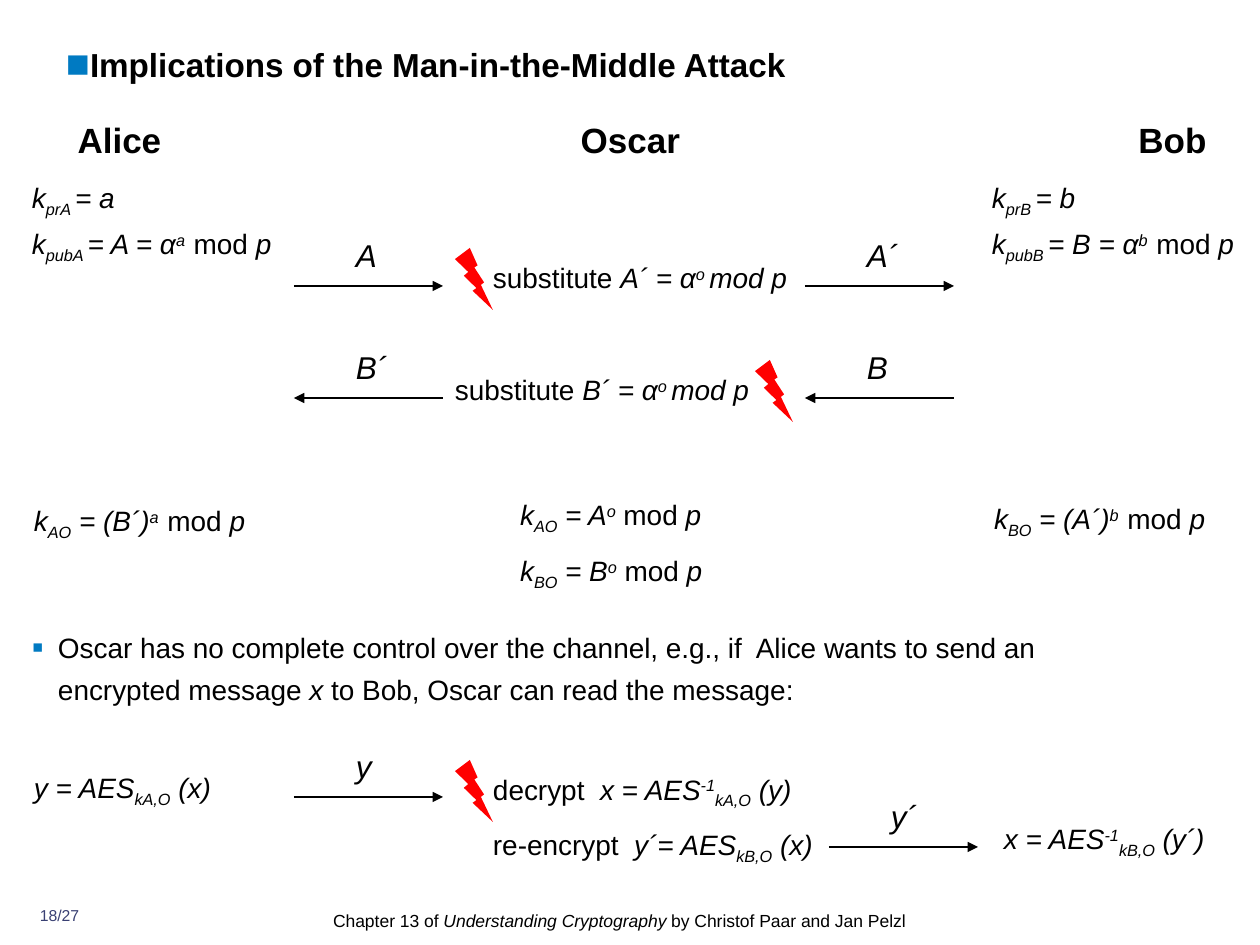
import dataclasses

import lxml.etree
import pptx
import pptx.dml.color
import pptx.enum.shapes
import pptx.enum.text
import pptx.oxml.ns
import pptx.util

EMU_PER_PX = pptx.util.Inches(1) / 126
ALIGN = pptx.enum.text.PP_ALIGN
SHAPE = pptx.enum.shapes.MSO_SHAPE
qn = pptx.oxml.ns.qn


@dataclasses.dataclass(frozen=True)
class Theme:
    font: str = "Arial"
    ink: str = "000000"
    accent: str = "007AC2"
    alarm: str = "FF0000"
    page: str = "394073"
    title: int = 19
    party: int = 20
    label: int = 18
    formula: int = 16
    footer: int = 10
    number: int = 9


THEME = Theme()

# Run styles: font attributes and baseline shift
STYLES = {
    "plain": ({}, 0),
    "bold": ({"bold": True}, 0),
    "it": ({"italic": True}, 0),
    "sub": ({"italic": True}, -25000),
    "sup": ({"italic": True}, 30000),
    "gap": ({"size": pptx.util.Pt(THEME.label)}, 0),
}


def px(length):
    return round(length * EMU_PER_PX)


def rgb(code):
    return pptx.dml.color.RGBColor.from_string(code)


def apply(target, formats):
    for attribute, value in formats.items():
        setattr(target, attribute, value)


def add_xml(parent, tag, **attributes):
    return lxml.etree.SubElement(parent, qn(tag), attributes)


def write(frame, paragraphs, size, color=THEME.ink, **layout):
    """Fill a text frame; each paragraph is a list of (text, style) runs."""
    apply(frame, {
        "margin_left": 0, "margin_top": 0, "margin_right": 0, "margin_bottom": 0,
        "word_wrap": True,
        "auto_size": pptx.enum.text.MSO_AUTO_SIZE.NONE,
        "vertical_anchor": pptx.enum.text.MSO_ANCHOR.TOP,
    })
    for index, runs in enumerate(paragraphs):
        paragraph = frame.add_paragraph() if index else frame.paragraphs[0]
        apply(paragraph, {"alignment": ALIGN.LEFT, **layout})
        for text, style in runs:
            run = paragraph.add_run()
            run.text = text
            formats, baseline = STYLES[style]
            apply(run.font, {"name": THEME.font, "size": pptx.util.Pt(size),
                             "bold": False, **formats})
            run.font.color.rgb = rgb(color)
            if baseline:
                run.font._element.set("baseline", str(baseline))


def add_text(slide, box, paragraphs, size=THEME.formula, color=THEME.ink, **layout):
    textbox = slide.shapes.add_textbox(*map(px, box))
    write(textbox.text_frame, paragraphs, size, color,
          **{"space_before": pptx.util.Pt(10), **layout})


def fill_placeholder(placeholder, box, runs, size, bullet, hang=0, **layout):
    """Move a placeholder and give it one bulleted paragraph."""
    apply(placeholder, dict(zip(("left", "top", "width", "height"), map(px, box))))
    write(placeholder.text_frame, [runs], size, **layout)
    properties = placeholder.text_frame.paragraphs[0]._p.get_or_add_pPr()
    properties.set("marL", str(px(hang)))
    properties.set("indent", str(-px(hang)))
    add_xml(add_xml(properties, "a:buClr"), "a:srgbClr", val=THEME.accent)
    add_xml(properties, "a:buSzPct", val="120000")
    add_xml(properties, "a:buFont", typeface=THEME.font)
    add_xml(properties, "a:buChar", char=bullet)


def add_party(slide, left, name):
    add_text(slide, (left, 123, 175, 38), [[(name, "bold")]], THEME.party,
             alignment=ALIGN.CENTER, line_spacing=0.9)


def add_message(slide, left, y, label, end="a:tailEnd"):
    """Arrow for one transmission, with its message above."""
    arrow = slide.shapes.add_connector(
        pptx.enum.shapes.MSO_CONNECTOR.STRAIGHT,
        px(left), px(y), px(left + 149), px(y))
    arrow.line.color.rgb = rgb(THEME.ink)
    arrow.line.width = pptx.util.Pt(1)
    add_xml(arrow.line._get_or_add_ln(), end, type="triangle")
    add_xml(arrow._element.spPr, "a:effectLst")
    add_text(slide, (left + 62, y - 50, 49, 38), [[(label, "it")]], THEME.label)


def add_bolt(slide, left, top):
    bolt = slide.shapes.add_shape(SHAPE.LIGHTNING_BOLT, px(left), px(top), px(38), px(62))
    bolt.shadow.inherit = False
    bolt.fill.solid()
    bolt.fill.fore_color.rgb = rgb(THEME.alarm)
    bolt.line.fill.background()


def add_key_pair(slide, left, party, secret):
    private = [("k", "it"), (f"pr{party} ", "sub"), (f"= {secret}", "it")]
    public = [("k", "it"), (f"pub{party} ", "sub"), (f"= {party} = α", "it"),
              (secret, "sup"), (" ", "gap"), ("mod ", "plain"), ("p", "it")]
    add_text(slide, (left, 181, 262, 34), [private])
    add_text(slide, (left, 223, 262, 42), [public])


def add_session_key(slide, left, top, key, base, secret):
    add_text(slide, (left, top, 446, 42), [[
        ("k", "it"), (key, "sub"), (f" = ({base})", "it"), (secret, "sup"),
        (" ", "gap"), ("mod ", "plain"), ("p", "it")]])


def oscar_key(key, base):
    return [("k", "it"), (key, "sub"), (f" = {base}", "it"), ("o", "sup"),
            (" mod ", "plain"), ("p", "it")]


def add_substitution(slide, left, top, value):
    add_text(slide, (left, top, 311, 34), [[
        ("substitute ", "plain"), (f"{value} = α", "it"), ("o ", "sup"), ("mod p", "it")]])


def encryption(result, key):
    return [(f"{result}= AES", "it"), (key, "sub"), (" (x)", "it")]


def decryption(key, cipher):
    return [("x = AES", "it"), ("-1", "sup"), (key, "sub"), (f" ({cipher})", "it")]


def main():
    deck = pptx.Presentation()
    deck.slide_width, deck.slide_height = px(1260), px(945)
    slide = deck.slides.add_slide(deck.slide_layouts[1])
    title, remark = slide.placeholders

    # Title and parties
    fill_placeholder(title, (66, 44, 1137, 83),
                     [("Implications of the Man-in-the-Middle Attack", "bold")],
                     THEME.title, "■", space_before=pptx.util.Pt(4.8))
    for left, name in ((32, "Alice"), (543, "Oscar"), (1085, "Bob")):
        add_party(slide, left, name)

    # Key pairs and intercepted exchange
    add_key_pair(slide, 32, "A", "a")
    add_key_pair(slide, 992, "B", "b")
    add_message(slide, 294, 286, "A")
    add_message(slide, 805, 286, "A´")
    add_message(slide, 294, 398, "B´", "a:headEnd")
    add_message(slide, 805, 398, "B", "a:headEnd")
    add_substitution(slide, 493, 261, "A´")
    add_substitution(slide, 455, 373, "B´")

    # Session keys
    add_session_key(slide, 34, 500, "AO", "B´", "a")
    add_session_key(slide, 994, 498, "BO", "A´", "b")
    add_text(slide, (520, 498, 422, 197), [oscar_key("AO", "A"), oscar_key("BO", "B")])

    # Consequence for the channel
    fill_placeholder(remark, (32, 622, 1060, 84), [
        ("Oscar has no complete control over the channel, e.g., if  Alice wants "
         "to send an encrypted message", "plain"),
        (" x ", "it"), ("to Bob, Oscar can read the message:", "plain"),
    ], THEME.formula, "▪", hang=26, line_spacing=1.25, space_before=pptx.util.Pt(5))

    # Encrypted message read and passed on
    add_text(slide, (34, 771, 446, 38), [encryption("y ", "kA,O")])
    add_message(slide, 294, 797, "y")
    add_text(slide, (493, 772, 412, 95), [
        [("decrypt  ", "plain")] + decryption("kA,O", "y"),
        [("re-encrypt  ", "plain")] + encryption("y´", "kB,O")])
    add_message(slide, 829, 847, "y´")
    add_text(slide, (1004, 822, 446, 38), [decryption("kB,O", "y´")])

    # Points of attack
    for left, top in ((455, 248), (755, 360), (455, 760)):
        add_bolt(slide, left, top)

    # Footer
    add_text(slide, (25, 906, 69, 30), [[("18/27", "plain")]], THEME.number,
             THEME.page, alignment=ALIGN.CENTER)
    add_text(slide, (333, 906, 596, 35), [[
        ("Chapter 13 of ", "plain"), ("Understanding Cryptography", "it"),
        (" by Christof Paar and Jan Pelzl", "plain")]], THEME.footer, line_spacing=1.2)

    deck.save("out.pptx")


if __name__ == "__main__":
    main()
